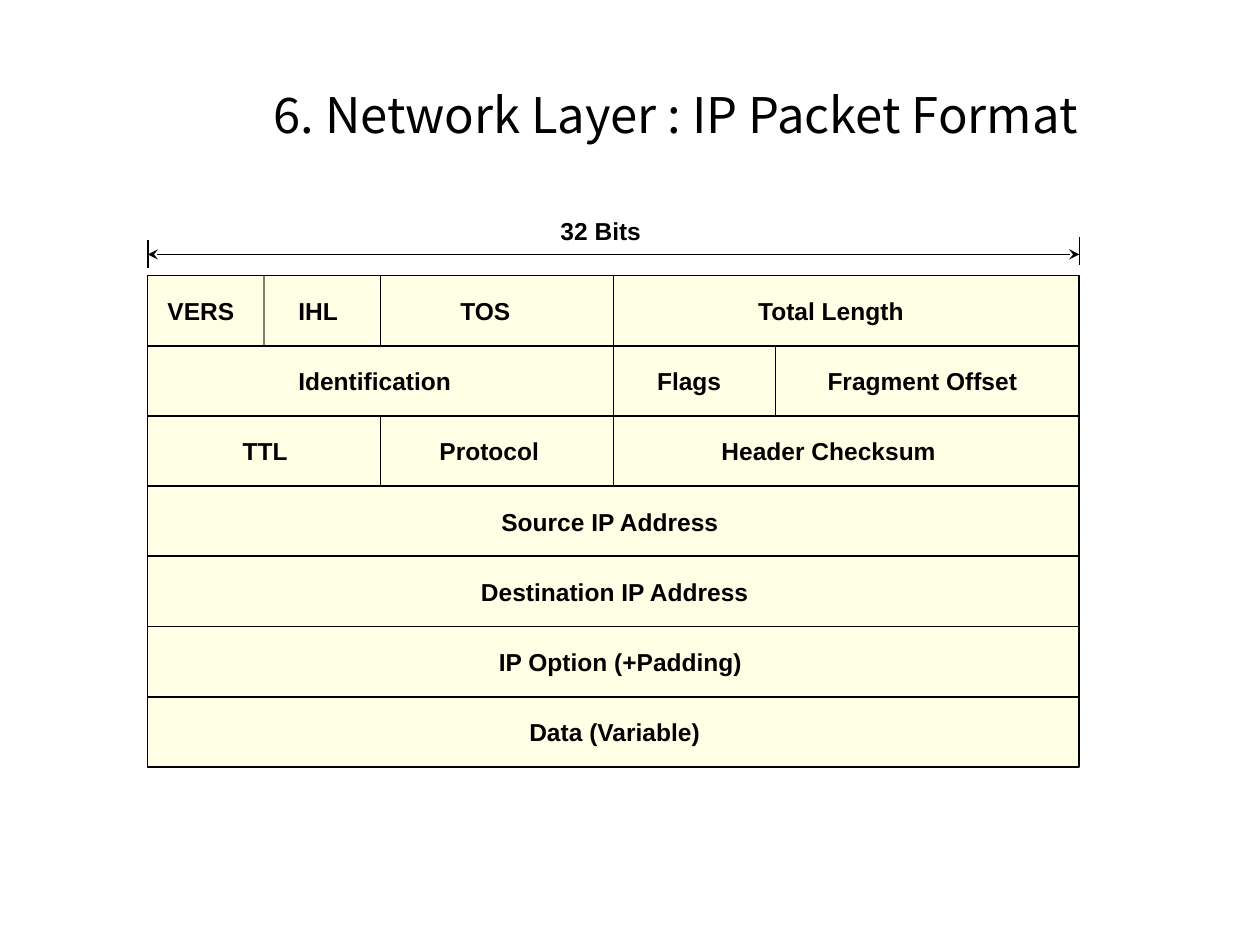
from lxml import etree
from pptx import Presentation
from pptx.dml.color import RGBColor
from pptx.enum import shapes, text
from pptx.oxml import ns
from pptx.util import Pt

BLACK = RGBColor(0x00, 0x00, 0x00)
CREAM = RGBColor(0xFF, 0xFF, 0xCC)

LEFT, TOP, WIDTH, ROW = 84.4, 157.5, 532.4, 40.1
RIGHT = LEFT + WIDTH
MIDDLE = LEFT + WIDTH / 2
QUARTER = LEFT + WIDTH / 4
EIGHTH = LEFT + WIDTH / 8
FLAGS_END = 443.2
ROWS = [TOP + ROW * n for n in range(8)]

deck = Presentation()
deck.slide_width, deck.slide_height = Pt(720), Pt(540)
slide = deck.slides.add_slide(deck.slide_layouts[6])


def add_rule(x1, y1, x2, y2):
    rule = slide.shapes.add_connector(
        shapes.MSO_CONNECTOR.STRAIGHT, Pt(x1), Pt(y1), Pt(x2), Pt(y2))
    rule.line.color.rgb = BLACK
    rule.line.width = Pt(1)
    etree.SubElement(rule._element.spPr, ns.qn("a:effectLst"))
    return rule


def add_label(words, left, top, width, height=23.8, size=14, font="Arial", bold=True):
    label = slide.shapes.add_textbox(Pt(left), Pt(top), Pt(width), Pt(height))
    label.text_frame.word_wrap = False
    label.text_frame.auto_size = text.MSO_AUTO_SIZE.SHAPE_TO_FIT_TEXT
    run = label.text_frame.paragraphs[0].add_run()
    run.text = words
    run.font.size = Pt(size)
    run.font.bold = bold
    run.font.color.rgb = BLACK
    run.font.name = font
    return label


title = add_label("6. Network Layer : IP Packet Format", 51.8, 44.6, 668.2, 41,
                  28, "Noto Sans CJK KR", False)
title.text_frame.word_wrap = True
title.text_frame.vertical_anchor = text.MSO_ANCHOR.MIDDLE
heading = title.text_frame.paragraphs[0]
heading.alignment = text.PP_ALIGN.CENTER
title_fill = heading.runs[0]._r.rPr.find(ns.qn("a:solidFill"))
effects = etree.Element(ns.qn("a:effectLst"))
shadow = etree.SubElement(effects, ns.qn("a:outerShdw"),
                          dist="17961", dir="2700000")
etree.SubElement(shadow, ns.qn("a:srgbClr"), val="808080")
title_fill.addnext(effects)

add_rule(EIGHTH, ROWS[0], EIGHTH, ROWS[1])

packet = slide.shapes.add_shape(
    shapes.MSO_SHAPE.RECTANGLE, Pt(LEFT), Pt(TOP), Pt(WIDTH), Pt(ROW * 7))
packet.shadow.inherit = False
packet.fill.solid()
packet.fill.fore_color.rgb = CREAM
packet.line.color.rgb = BLACK
packet.line.width = Pt(1)
cream = packet._element.spPr.find(ns.qn("a:solidFill"))[0]
etree.SubElement(cream, ns.qn("a:alpha"), val="50000")

for x, first, last in [(QUARTER, 0, 1), (FLAGS_END, 1, 2), (QUARTER, 2, 3)]:
    add_rule(x, ROWS[first], x, ROWS[last])
halves = add_rule(MIDDLE, ROWS[0], MIDDLE, ROWS[3])
halves.begin_connect(packet, 0)
for y in ROWS[1:-1]:
    add_rule(LEFT, y, RIGHT, y)

fields = [
    [("VERS", 88.6, 52.6), ("IHL", 163.4, 37.4), ("TOS", 256, 43.2),
     ("Total Length", 426.2, 98.6)],
    [("Identification", 163.4, 102.2), ("Flags", 368.4, 51.1),
     ("Fragment Offset", 465.8, 123.1)],
    [("TTL", 131.6, 40.3), ("Protocol", 244, 71.3),
     ("Header Checksum", 405.2, 136.8)],
    [("Source IP Address", 279.4, 139.7)],
    [("Destination IP Address", 267.8, 168.5)],
    [("IP Option (+Padding)", 278, 154.1)],
    [("Data (Variable)", 295.4, 113)],
]
for y, row_fields in zip(ROWS, fields):
    for words, left, width in row_fields:
        add_label(words, left, y + 8.2, width)

add_rule(LEFT, 153.2, LEFT, 137)
add_rule(RIGHT, 151.4, RIGHT, 135.2)
span = add_rule(LEFT, 145.4, RIGHT, 145.4)
for end in ("a:headEnd", "a:tailEnd"):
    etree.SubElement(span.line._get_or_add_ln(), ns.qn(end), type="stealth")
add_label("32 Bits", 313.2, 120.2, 60.5)

deck.save("out.pptx")
